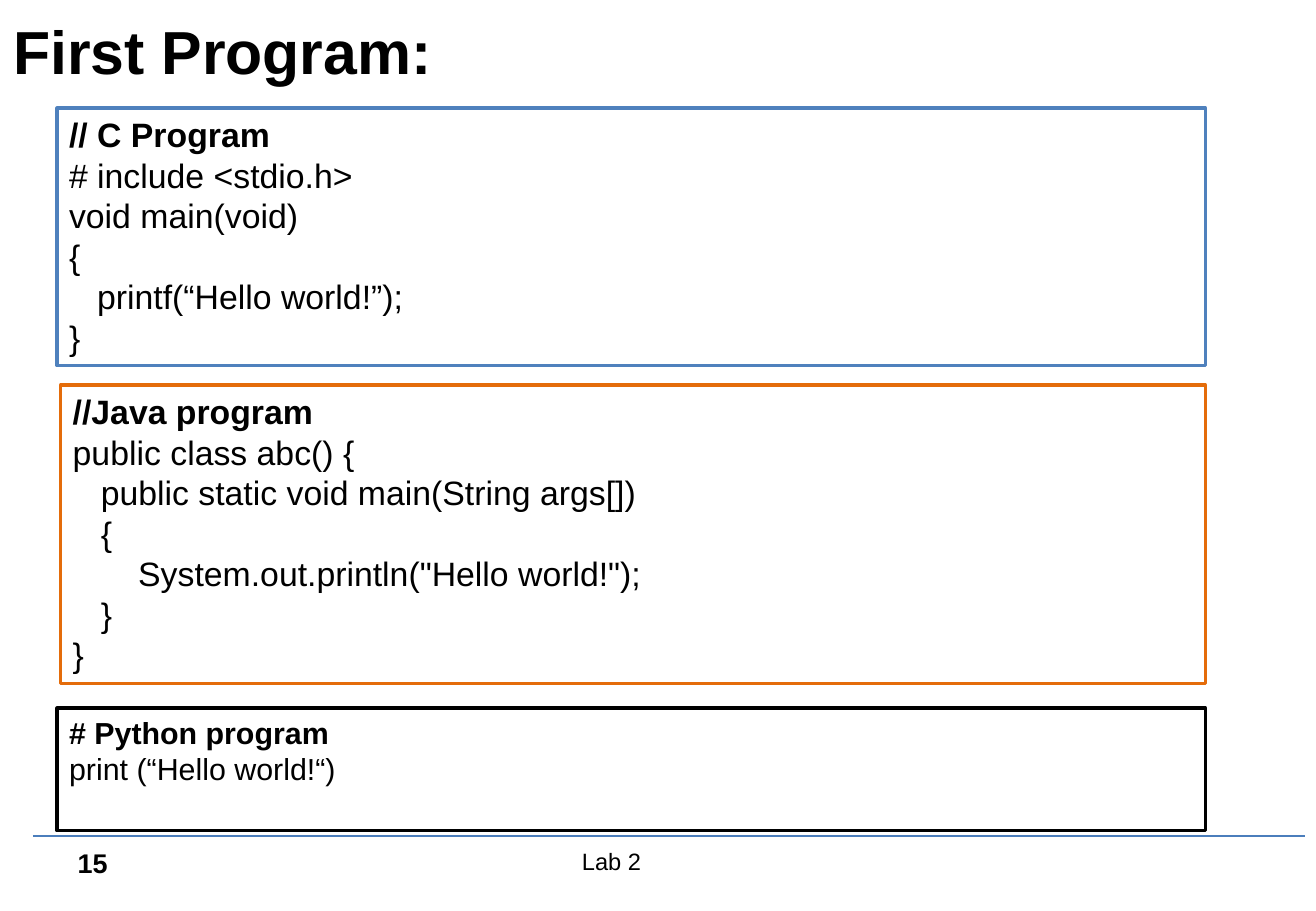
from pptx import Presentation
from pptx.dml.color import RGBColor
from pptx.enum.shapes import MSO_CONNECTOR as Connector, MSO_SHAPE as Shape
from pptx.enum.text import MSO_ANCHOR as Anchor, PP_ALIGN as Align
from pptx.util import Inches, Pt
from lxml import etree

DRAWING_NS = "http://schemas.openxmlformats.org/drawingml/2006/main"
SPACE_WIDTH = 0.077  # one space of 20 pt Arial, in inches


def color(hex_string):
    return RGBColor.from_string(hex_string)


def write(shape, text, size=20, bold=False, bold_first=False, anchor=Anchor.TOP):
    """Write one paragraph per line; leading spaces become an indent."""
    frame = shape.text_frame
    frame.word_wrap = True
    frame.vertical_anchor = anchor
    for i, line in enumerate(text.split("\n")):
        paragraph = frame.paragraphs[0] if i == 0 else frame.add_paragraph()
        paragraph.alignment = Align.LEFT
        code = line.lstrip()
        indent = Inches((len(line) - len(code)) * SPACE_WIDTH)
        if indent:
            paragraph._p.get_or_add_pPr().set("marL", str(indent))
        run = paragraph.add_run()
        run.text = code
        run.font.name = "Arial"
        run.font.size = Pt(size)
        run.font.bold = bold or (bold_first and i == 0)
        run.font.color.rgb = color("000000")


prs = Presentation()
prs.slide_width, prs.slide_height = Inches(10.83), Inches(7.5)
slide = prs.slides.add_slide(prs.slide_layouts[6])
shapes = slide.shapes

# Footer
page_number = shapes.add_textbox(Inches(0.54), Inches(6.92), Inches(2.53), Inches(0.4))
write(page_number, "15", size=16, bold=True)
lab_label = shapes.add_textbox(Inches(4.69), Inches(6.92), Inches(1.62), Inches(0.34))
write(lab_label, "Lab 2", size=14)
footer_rule = shapes.add_connector(
    Connector.STRAIGHT, Inches(0.27), Inches(6.88), Inches(10.74), Inches(6.88))
footer_rule.line.color.rgb = color("4B7EBC")
footer_rule.line.width = Pt(1.25)
etree.SubElement(footer_rule._element.spPr, f"{{{DRAWING_NS}}}effectLst")

# Title
title = shapes.add_textbox(Inches(0.01), Inches(-0.03), Inches(4.51), Inches(0.88))
write(title, "First Program:", size=36, bold=True, anchor=Anchor.MIDDLE)

# Program listings
c_code = """// C Program
# include <stdio.h>
void main(void)
{
   printf(“Hello world!”);
}"""

java_code = """//Java program
public class abc() {
   public static void main(String args[])
   {
       System.out.println("Hello world!");
   }
}"""

python_code = """# Python program
print (“Hello world!“)"""

# Code boxes share one right edge
right_edge = 9.92
for code, left, top, height, outline, size in [
    (c_code, 0.47, 0.89, 2.12, "4F81BD", 20),
    (java_code, 0.5, 3.17, 2.46, "E46C0A", 20),
    (python_code, 0.47, 5.83, 1.01, "000000", 18),
]:
    code_box = shapes.add_shape(
        Shape.RECTANGLE, Inches(left), Inches(top),
        Inches(right_edge - left), Inches(height))
    code_box.shadow.inherit = False
    code_box.fill.background()
    code_box.line.color.rgb = color(outline)
    code_box.line.width = Pt(2)
    write(code_box, code, size=size, bold_first=True)

prs.save("out.pptx")
